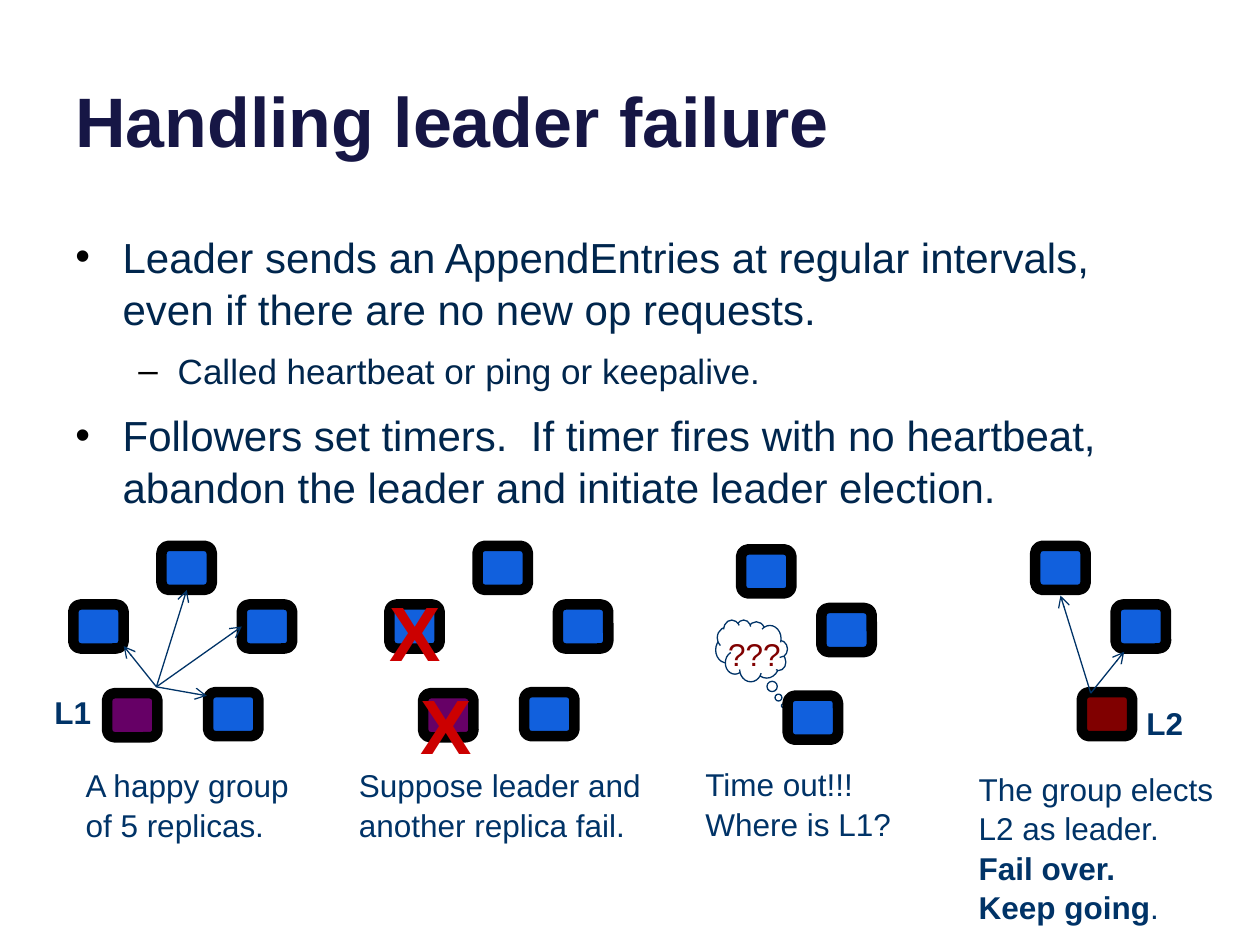
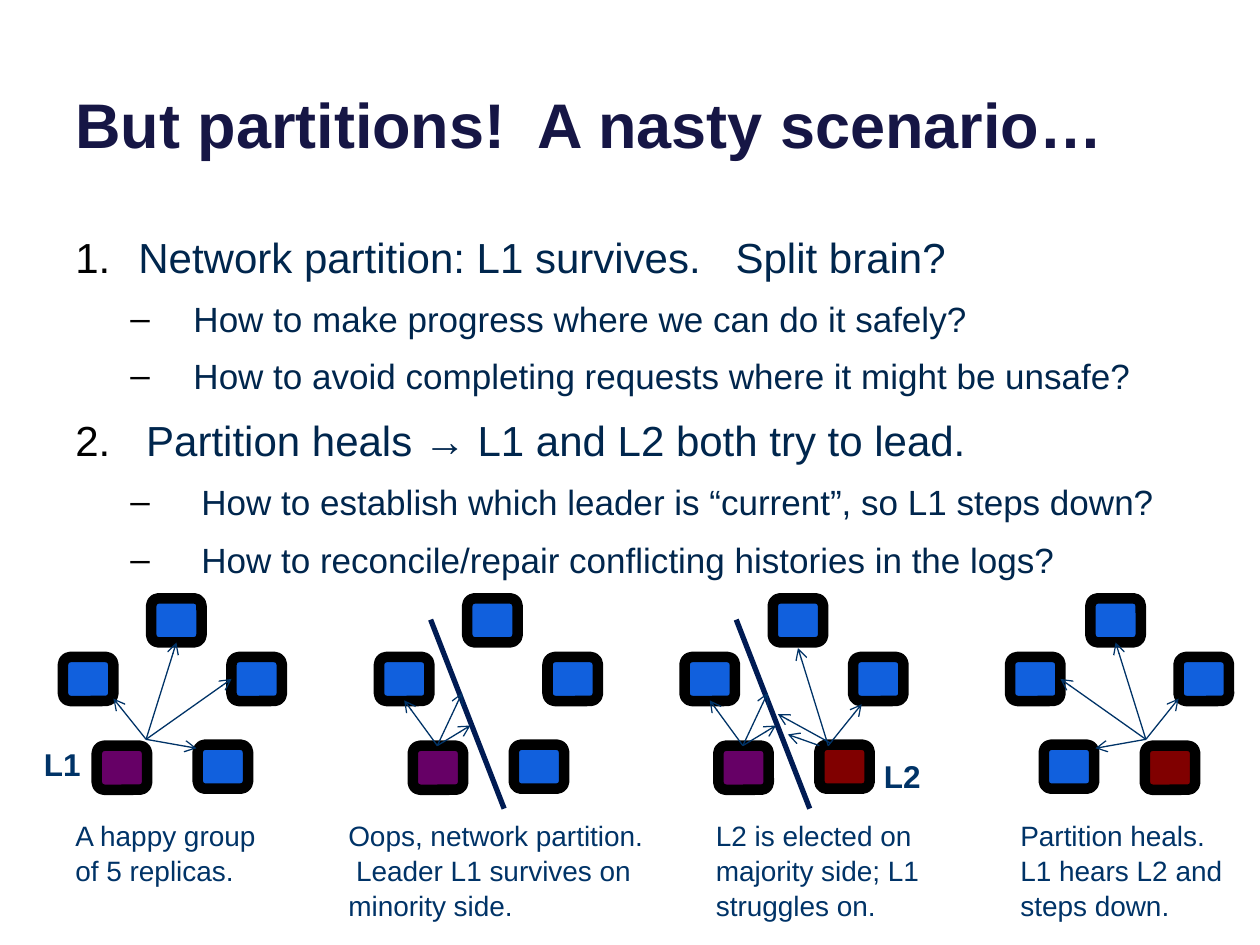
from dataclasses import dataclass
from typing import Optional

import lxml.etree
import pptx
import pptx.dml.color
import pptx.enum.shapes
import pptx.enum.text
import pptx.oxml.ns
import pptx.util

Pt = pptx.util.Pt
Shape = pptx.enum.shapes.MSO_SHAPE
Anchor = pptx.enum.text.MSO_ANCHOR
qn = pptx.oxml.ns.qn

FONT = "Arial"
LINE_SPACING = 1.04
COLOURS = {
    "title": "161645",
    "body": "00264D",
    "bullet": "000000",
    "ink": "003367",
    "outline": "000000",
    "follower": "1160DD",
    "first leader": "660066",
    "second leader": "800000",
    "failure": "CC0000",
    "partition": "001B53",
}

# Replica positions and link ends are measured from the ring's top left corner.
REPLICA_WIDTH, REPLICA_HEIGHT, RING_WIDTH = 28.8, 25.2, 125.3
SEATS = {
    "top": (50.4, 0),
    "right": (96.3, 33.5),
    "lower right": (77, 83.6),
    "left": (0, 33.5),
    "lower left": (19.3, 84.2),
}
PARTITION = ((29.5, 12.2), (71.5, 120.2))


@dataclass
class Span:
    text: str
    bold: bool = False


@dataclass
class Item:
    """A list entry; a number makes it a numbered one."""
    text: str
    margin: float
    hanging: float
    level: int = 0
    number: Optional[int] = None


@dataclass
class Links:
    """Arrows that leave one point for several others."""
    start: tuple[float, float]
    ends: tuple[tuple[float, float], ...]


@dataclass
class Ring:
    left: float
    top: float
    leaders: dict[str, str]
    links: tuple[Links, ...] = ()
    missing: tuple[str, ...] = ()
    mirrored: bool = False
    partitioned: bool = False


@dataclass
class Label:
    left: float
    top: float
    width: float
    height: float
    paragraphs: list[list[Span]]
    size: float = 18
    colour: str = "ink"
    wrap: bool = True


FIRST_LEADER = {"lower left": "first leader"}
SECOND_LEADER = {"lower right": "second leader"}
ALL_FOLLOWERS = Links((47.5, 80.6), ((28.8, 57.3), (64.8, 25.2), (96.3, 46.1), (76.3, 85.7)))
MAJORITY = Links((82.1, 84.2), ((101.2, 60.5), (64.8, 28.4)))
MINORITY = Links((33.3, 84.2), ((14.4, 58.3), (52.2, 72.7), (47.5, 54)))
BLOCKED = (Links((83.5, 82.8), ((53.3, 66.2),)), Links((77, 84.2), ((59, 77.8),)))


def rgb(name: str) -> pptx.dml.color.RGBColor:
    return pptx.dml.color.RGBColor.from_string(COLOURS[name])


def add_span(para, span: Span, size: float, colour: str) -> None:
    run = para.add_run()
    run.text = span.text
    run.font.name = FONT
    run.font.size = Pt(size)
    run.font.bold = span.bold
    run.font.color.rgb = rgb(colour)


def add_box(page, left: float, top: float, width: float, height: float):
    box = page.shapes.add_textbox(Pt(left), Pt(top), Pt(width), Pt(height))
    box.text_frame.word_wrap = True
    return box.text_frame


def nth_paragraph(frame, index: int):
    para = frame.add_paragraph() if index else frame.paragraphs[0]
    para.line_spacing = LINE_SPACING
    return para


def add_title(page, text: str, size: float) -> None:
    frame = add_box(page, 36, -26.64, 648, 122.4)
    frame.vertical_anchor = Anchor.BOTTOM
    add_span(frame.paragraphs[0], Span(text, True), size, "title")


def add_bullet(para, item: Item) -> None:
    properties = para._p.get_or_add_pPr()
    properties.set("marL", str(Pt(item.margin)))
    properties.set("indent", str(Pt(-item.hanging)))
    colour = lxml.etree.SubElement(properties, qn("a:buClr"))
    lxml.etree.SubElement(colour, qn("a:srgbClr")).set("val", COLOURS["bullet"])
    lxml.etree.SubElement(properties, qn("a:buFont")).set("typeface", FONT)
    if item.number:
        numbering = lxml.etree.SubElement(properties, qn("a:buAutoNum"))
        numbering.set("type", "arabicPeriod")
        numbering.set("startAt", str(item.number))
    else:
        mark = lxml.etree.SubElement(properties, qn("a:buChar"))
        mark.set("char", "–" if item.level else "•")


def add_list(page, height: float, items: list[Item]) -> None:
    frame = add_box(page, 36, 126, 648, height)
    frame.margin_top = Pt(5)
    for index, item in enumerate(items):
        para = nth_paragraph(frame, index)
        para.level = item.level
        if index:
            para.space_before = Pt(8 if item.level else 9)
        add_bullet(para, item)
        add_span(para, Span(item.text), 20 if item.level else 24, "body")


def add_label(page, label: Label) -> None:
    frame = add_box(page, label.left, label.top, label.width, label.height)
    frame.word_wrap = label.wrap
    frame.margin_top = Pt(5)
    for index, spans in enumerate(label.paragraphs):
        para = nth_paragraph(frame, index)
        for span in spans:
            add_span(para, span, label.size, label.colour)


def add_line(page, start, end, colour: str, width: float, arrow: bool) -> None:
    line = page.shapes.add_connector(
        pptx.enum.shapes.MSO_CONNECTOR.STRAIGHT, *(Pt(value) for value in (*start, *end)))
    line.line.color.rgb = rgb(colour)
    line.line.width = Pt(width)
    if arrow:
        lxml.etree.SubElement(line.line._get_or_add_ln(), qn("a:tailEnd")).set("type", "arrow")
    lxml.etree.SubElement(line._element.spPr, qn("a:effectLst"))


def add_replica(page, left: float, top: float, role: str) -> None:
    replica = page.shapes.add_shape(
        Shape.ROUNDED_RECTANGLE, Pt(left), Pt(top), Pt(REPLICA_WIDTH), Pt(REPLICA_HEIGHT))
    replica.shadow.inherit = False
    replica.fill.solid()
    replica.fill.fore_color.rgb = rgb(role)
    replica.line.color.rgb = rgb("outline")
    replica.line.width = Pt(6)


def add_ring(page, ring: Ring) -> None:
    def place(point, width: float = 0) -> tuple[float, float]:
        across = RING_WIDTH - point[0] - width if ring.mirrored else point[0]
        return ring.left + across, ring.top + point[1]

    for seat, corner in SEATS.items():
        if seat not in ring.missing:
            add_replica(page, *place(corner, REPLICA_WIDTH), ring.leaders.get(seat, "follower"))
    if ring.partitioned:
        add_line(page, *map(place, PARTITION), "partition", 3, False)
    for links in ring.links:
        for end in links.ends:
            add_line(page, place(links.start), place(end), "ink", 0.75, True)


def add_cloud(page) -> None:
    cloud = page.shapes.add_shape(Shape.CLOUD_CALLOUT, Pt(409), Pt(354.2), Pt(41), Pt(35.3))
    cloud._element.spPr.xfrm.set("flipH", "1")
    cloud.adjustments[0], cloud.adjustments[1] = -0.44, 0.89
    cloud.shadow.inherit = False
    cloud.fill.background()
    cloud.line.color.rgb = rgb("ink")
    cloud.line.width = Pt(0.75)


def add_drawing(page, rings: list[Ring], labels: list[Label]) -> None:
    for ring in rings:
        add_ring(page, ring)
    for label in labels:
        add_label(page, label)


def leader_tag(name: str, left: float, top: float) -> Label:
    return Label(left, top, 36, 28.8, [[Span(name, True)]])


def failure_cross(left: float, top: float) -> Label:
    return Label(left, top, 43.9, 60.5, [[Span("X", True)]], 44, "failure", False)


def build_failure(page) -> None:
    add_title(page, "Handling leader failure", 40)
    add_list(page, 181.4, [
        Item("Leader sends an AppendEntries at regular intervals, "
             "even if there are no new op requests.", 27, 27),
        Item("Called heartbeat or ping or keepalive.", 58.5, 22.5, 1),
        Item("Followers set timers.  If timer fires with no heartbeat, "
             "abandon the leader and initiate leader election.", 27, 27),
    ])
    add_label(page, Label(409, 357.1, 49, 28.8, [[Span("???")]], colour="second leader"))
    add_cloud(page)
    top = 311.9
    rings = [
        Ring(41.9, top, FIRST_LEADER, (ALL_FOLLOWERS,)),
        Ring(222.5, top, FIRST_LEADER),
        Ring(373.1, top + 2, {}, missing=("left", "lower left")),
        Ring(541.2, top, SECOND_LEADER, (MAJORITY,), ("left", "lower left")),
    ]
    add_drawing(page, rings, [
        failure_cross(233.3, 380.2),
        failure_cross(215.3, 326.9),
        Label(41.8, 432, 131.8, 51.1, [[Span("A happy group of 5 replicas.")]]),
        Label(198, 432, 185.8, 51.1, [[Span("Suppose leader and another replica fail.")]]),
        Label(396, 431.5, 131.8, 51.1, [[Span("Time out!!!")], [Span("Where is L1?")]]),
        Label(552.2, 434.2, 156.2, 94.3, [
            [Span("The group elects L2 as leader.")],
            [Span("Fail over.", True)],
            [Span("Keep going", True), Span(".")],
        ]),
        leader_tag("L1", 24, 390.2),
        leader_tag("L2", 648, 396.7),
    ])


def build_partitions(page) -> None:
    add_title(page, "But partitions!  A nasty scenario…", 36)
    add_list(page, 203.8, [
        Item("Network partition: L1 survives.   Split brain?", 36, 36, number=1),
        Item("How to make progress where we can do it safely?", 67.5, 36, 1),
        Item("How to avoid completing requests where it might be unsafe?", 67.5, 36, 1),
        Item("Partition heals → L1 and L2 both try to lead.", 40.5, 40.5, number=2),
        Item("How to establish which leader is “current”, so L1 steps down?", 72, 40.5, 1),
        Item("How to reconcile/repair conflicting histories in the logs?", 72, 40.5, 1),
    ])
    top = 341.9
    rings = [
        Ring(36, top, FIRST_LEADER, (ALL_FOLLOWERS,)),
        Ring(216.6, top, FIRST_LEADER, (MINORITY,), partitioned=True),
        Ring(391.2, top, FIRST_LEADER | SECOND_LEADER, (MINORITY, MAJORITY, *BLOCKED),
             partitioned=True),
        Ring(577, top, {"lower left": "second leader"}, (ALL_FOLLOWERS,), mirrored=True),
    ]
    captions = [
        (36, 126, "A happy group of 5 replicas."),
        (192, 186, "Oops, network partition.  Leader L1 survives on minority side."),
        (402, 160, "L2 is elected on majority side; L1 struggles on."),
        (576, 144, "Partition heals.  L1 hears L2 and steps down."),
    ]
    labels = [Label(left, 462, width, 65.5, [[Span(text)]], 16) for left, width, text in captions]
    add_drawing(page, rings, labels + [leader_tag("L1", 18, 420), leader_tag("L2", 498, 427)])


def main() -> None:
    deck = pptx.Presentation()
    deck.slide_width, deck.slide_height = Pt(720), Pt(540)
    for build in (build_failure, build_partitions):
        build(deck.slides.add_slide(deck.slide_layouts[6]))
    deck.save("out.pptx")


if __name__ == "__main__":
    main()
